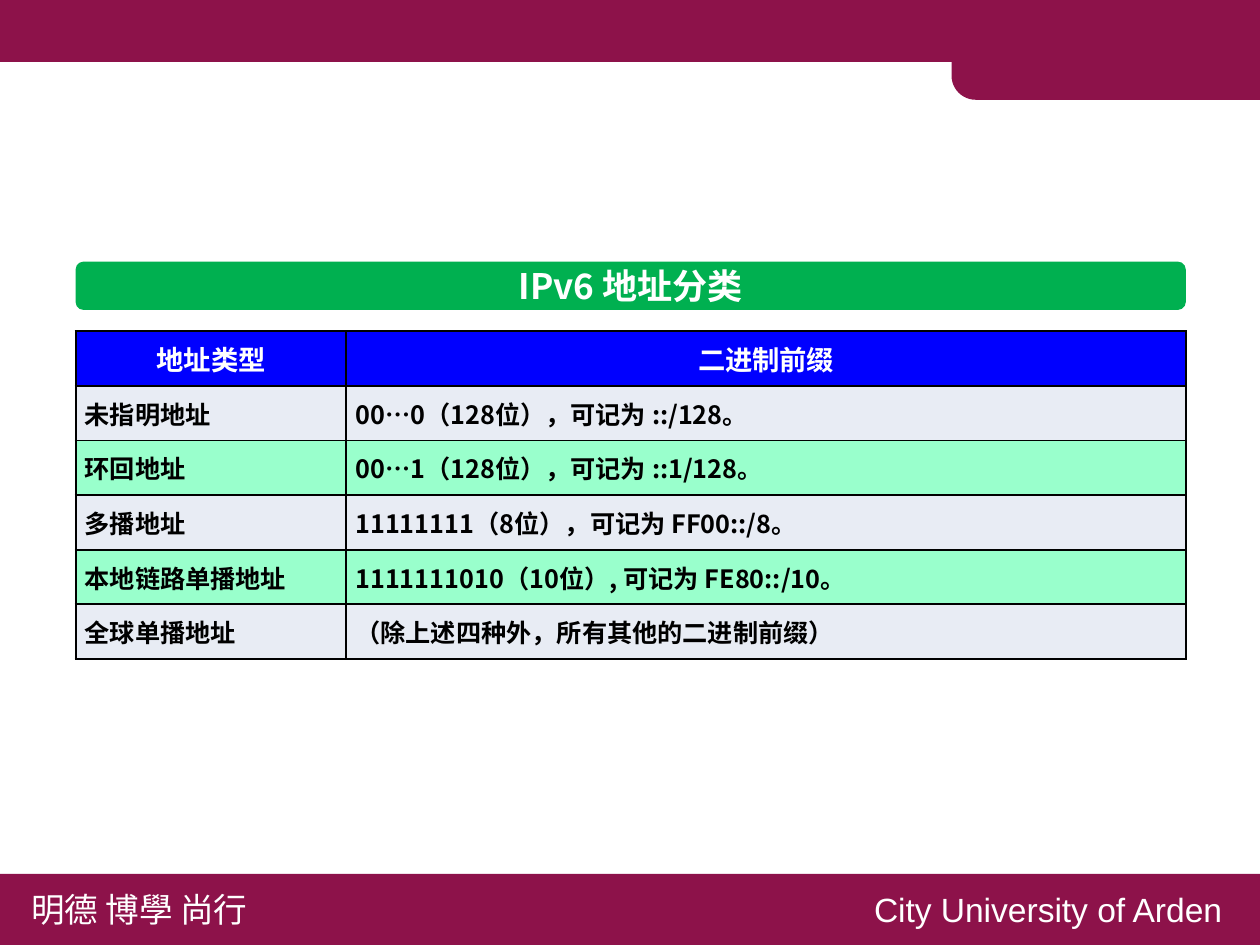
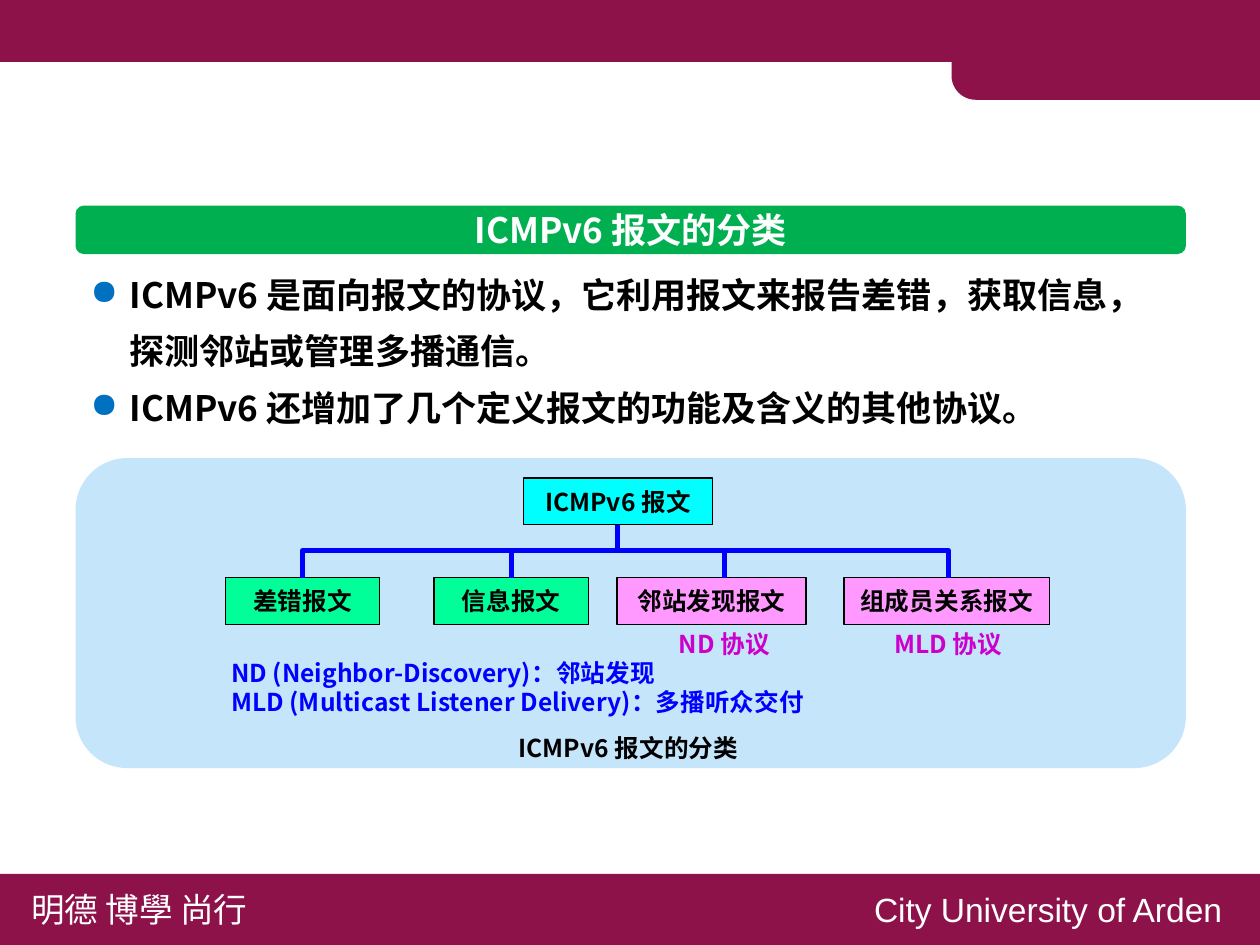
from lxml.etree import SubElement
from pptx import Presentation
from pptx.dml.color import RGBColor
from pptx.enum.shapes import MSO_CONNECTOR, MSO_SHAPE
from pptx.enum.text import MSO_ANCHOR, PP_ALIGN
from pptx.oxml.ns import qn
from pptx.util import Inches, Pt

COLORS = {
    "band": "8D124A", "title": "00B050", "white": "FFFFFF", "black": "000000",
    "blue": "0000FF", "bullet": "0070C0", "panel": "C5E5FB", "label": "CC00CC",
    "row": "E8ECF4", "row_alt": "99FFCC",
    "root": "00FFFF", "basic": "00FF99", "extended": "FF99FF",
}
CJK = "Noto Sans CJK SC"
LEFT, WIDTH = 0.5, 7.34

TITLE = {"size": 16.7, "color": "white", "align": PP_ALIGN.CENTER}
BODY = {"size": 16.7}
HEADER = {"size": 13, "color": "white", "align": PP_ALIGN.CENTER}
CELL = {"size": 12, "align": PP_ALIGN.JUSTIFY}
SMALL = {"size": 11.7, "align": PP_ALIGN.CENTER}
LABEL = {**SMALL, "color": "label"}
NOTE = {"size": 11.7, "color": "blue"}
FOOTER = {"size": 16, "color": "white", "bold": False}

FOOTERS = [  # text, left, width, font
    ("明德 博學 尚行", 0.11, 1.68, CJK),
    ("City University of Arden", 5.68, 2.65, "Arial"),
]

ADDRESS_TITLE = "IPv6 地址分类"
ADDRESS_COLUMNS = [1.79, 5.55]
ADDRESS_ROWS = [
    ("地址类型", "二进制前缀"),
    ("未指明地址", "00…0（128位），可记为 ::/128。"),
    ("环回地址", "00…1（128位），可记为 ::1/128。"),
    ("多播地址", "11111111（8位），可记为 FF00::/8。"),
    ("本地链路单播地址", "1111111010（10位）, 可记为 FE80::/10。"),
    ("全球单播地址", "（除上述四种外，所有其他的二进制前缀）"),
]

MESSAGE_TITLE = "ICMPv6 报文的分类"
MESSAGE_POINTS = [
    "ICMPv6 是面向报文的协议，它利用报文来报告差错，获取信息，探测邻站或管理多播通信。",
    "ICMPv6 还增加了几个定义报文的功能及含义的其他协议。",
]
ROOT = ("ICMPv6 报文", 3.46, 1.25)
NODES = [  # text, left, width, colour, x of branch line, protocol
    ("差错报文", 1.49, 1.02, "basic", 2.0, None),
    ("信息报文", 2.87, 1.02, "basic", 3.38, None),
    ("邻站发现报文", 4.08, 1.25, "extended", 4.79, "ND 协议"),
    ("组成员关系报文", 5.58, 1.36, "extended", 6.27, "MLD 协议"),
]
ROOT_TOP, BRANCH_Y, NODE_TOP, NODE_HEIGHT = 3.16, 3.64, 3.82, 0.31
NOTES = [
    "ND (Neighbor-Discovery)：邻站发现",
    "MLD (Multicast Listener Delivery)：多播听众交付",
]


def rgb(name):
    return RGBColor.from_string(COLORS[name])


def write(frame, lines, size, color="black", bold=True, font=CJK, align=PP_ALIGN.LEFT):
    for index, line in enumerate(lines):
        para = frame.paragraphs[0] if index == 0 else frame.add_paragraph()
        para.alignment = align
        span = para.add_run()
        span.text = line
        for key, value in {"size": Pt(size), "bold": bold, "name": font}.items():
            setattr(span.font, key, value)
        span.font.color.rgb = rgb(color)
        SubElement(span.font._element, qn("a:ea"), typeface=font)


def set_frame(frame, margin_x, margin_y, anchor):
    settings = {
        "word_wrap": True, "vertical_anchor": anchor,
        "margin_left": Inches(margin_x), "margin_right": Inches(margin_x),
        "margin_top": Inches(margin_y), "margin_bottom": Inches(margin_y),
    }
    for key, value in settings.items():
        setattr(frame, key, value)


def add_text(page, place, lines, style):
    box = page.shapes.add_textbox(*map(Inches, place))
    set_frame(box.text_frame, 0.1, 0.05, MSO_ANCHOR.TOP)
    write(box.text_frame, lines, **style)
    return box


def add_block(page, place, color, kind=MSO_SHAPE.RECTANGLE, text=None, style=SMALL, outline=False):
    block = page.shapes.add_shape(kind, *map(Inches, place))
    block.shadow.inherit = False
    block.fill.solid()
    block.fill.fore_color.rgb = rgb(color)
    if outline:
        block.line.color.rgb = rgb("black")
        block.line.width = Pt(0.75)
    else:
        block.line.fill.background()
    if text:
        set_frame(block.text_frame, 0, 0, MSO_ANCHOR.MIDDLE)
        write(block.text_frame, [text], **style)
    return block


def style_branch(line):
    line.color.rgb = rgb("blue")
    line.width = Pt(2.25)


def add_vertical(page, x, top, bottom):
    connector = page.shapes.add_connector(
        MSO_CONNECTOR.STRAIGHT, *map(Inches, (x, top, x, bottom)))
    style_branch(connector.line)
    SubElement(connector._element.spPr, qn("a:effectLst"))


def add_page(deck, title, title_top):
    page = deck.slides.add_slide(deck.slide_layouts[6])
    add_block(page, (-0.01, -0.01, 8.35, 0.42), "band")
    tab = add_block(page, (6.29, 0.02, 2.05, 0.64), "band", MSO_SHAPE.ROUND_1_RECTANGLE)
    tab.adjustments[0] = 0.25
    tab.rotation = 180
    add_block(page, (-0.02, 5.78, 8.36, 0.49), "band")
    for text, left, width, font in FOOTERS:
        add_text(page, (left, 5.83, width, 0.37), [text], {**FOOTER, "font": font})
    add_block(page, (LEFT, title_top, WIDTH, 0.32), "title",
              MSO_SHAPE.ROUNDED_RECTANGLE, title, TITLE)
    return page


def add_borders(cell):
    properties = cell._tc.get_or_add_tcPr()
    for side in ("lnL", "lnR", "lnT", "lnB"):
        line = SubElement(properties, qn(f"a:{side}"), w=str(Pt(1)))
        fill = SubElement(line, qn("a:solidFill"))
        SubElement(fill, qn("a:srgbClr"), val=COLORS["black"])


def add_address_table(page):
    place = map(Inches, (LEFT, 2.19, WIDTH, 2.17))
    table = page.shapes.add_table(len(ADDRESS_ROWS), len(ADDRESS_COLUMNS), *place).table
    table.first_row = table.horz_banding = False
    for column, width in zip(table.columns, ADDRESS_COLUMNS):
        column.width = Inches(width)
    for row, texts in enumerate(ADDRESS_ROWS):
        color = "blue" if row == 0 else "row" if row % 2 else "row_alt"
        for column, text in enumerate(texts):
            cell = table.cell(row, column)
            set_frame(cell, 0.06, 0, MSO_ANCHOR.MIDDLE)
            add_borders(cell)
            cell.fill.solid()
            cell.fill.fore_color.rgb = rgb(color)
            write(cell.text_frame, [text], **(CELL if row else HEADER))


def add_bullets(page, place, lines):
    box = add_text(page, place, lines, BODY)
    for para in box.text_frame.paragraphs:
        para.line_spacing = 1.35
        properties = para._p.get_or_add_pPr()
        properties.set("marL", str(Inches(0.26)))
        properties.set("indent", str(Inches(-0.26)))
        color = SubElement(properties, qn("a:buClr"))
        SubElement(color, qn("a:srgbClr"), val=COLORS["bullet"])
        SubElement(properties, qn("a:buChar"), char="●")


def add_message_tree(page):
    text, left, width = ROOT
    add_block(page, (left, ROOT_TOP, width, NODE_HEIGHT), "root", text=text, outline=True)
    add_vertical(page, left + width / 2, ROOT_TOP + NODE_HEIGHT, BRANCH_Y)
    for text, left, width, color, branch_x, protocol in NODES:
        add_block(page, (left, NODE_TOP, width, NODE_HEIGHT), color, text=text, outline=True)
        if protocol:
            add_text(page, (branch_x - 0.6, 4.11, 1.2, 0.3), [protocol], LABEL)

    first, *inner, last = [node[4] for node in NODES]
    for x in inner:
        add_vertical(page, x, BRANCH_Y, NODE_TOP)
    corners = [(first, BRANCH_Y), (last, BRANCH_Y), (last, NODE_TOP)]
    builder = page.shapes.build_freeform(Inches(first), Inches(NODE_TOP))
    builder.add_line_segments([(Inches(x), Inches(y)) for x, y in corners], close=False)
    bracket = builder.convert_to_shape()
    bracket.shadow.inherit = False
    bracket.fill.background()
    style_branch(bracket.line)


def main():
    deck = Presentation()
    deck.slide_width, deck.slide_height = Inches(8.33), Inches(6.25)

    page = add_page(deck, ADDRESS_TITLE, 1.73)
    add_address_table(page)

    page = add_page(deck, MESSAGE_TITLE, 1.36)
    add_bullets(page, (LEFT, 1.66, WIDTH, 1.24), MESSAGE_POINTS)
    add_block(page, (LEFT, 3.03, WIDTH, 2.05), "panel", MSO_SHAPE.ROUNDED_RECTANGLE)
    add_message_tree(page)
    add_text(page, (1.43, 4.3, 4.1, 0.49), NOTES, NOTE)
    add_text(page, (2.94, 4.8, 2.43, 0.3), [MESSAGE_TITLE], SMALL)

    deck.save("out.pptx")


if __name__ == "__main__":
    main()
